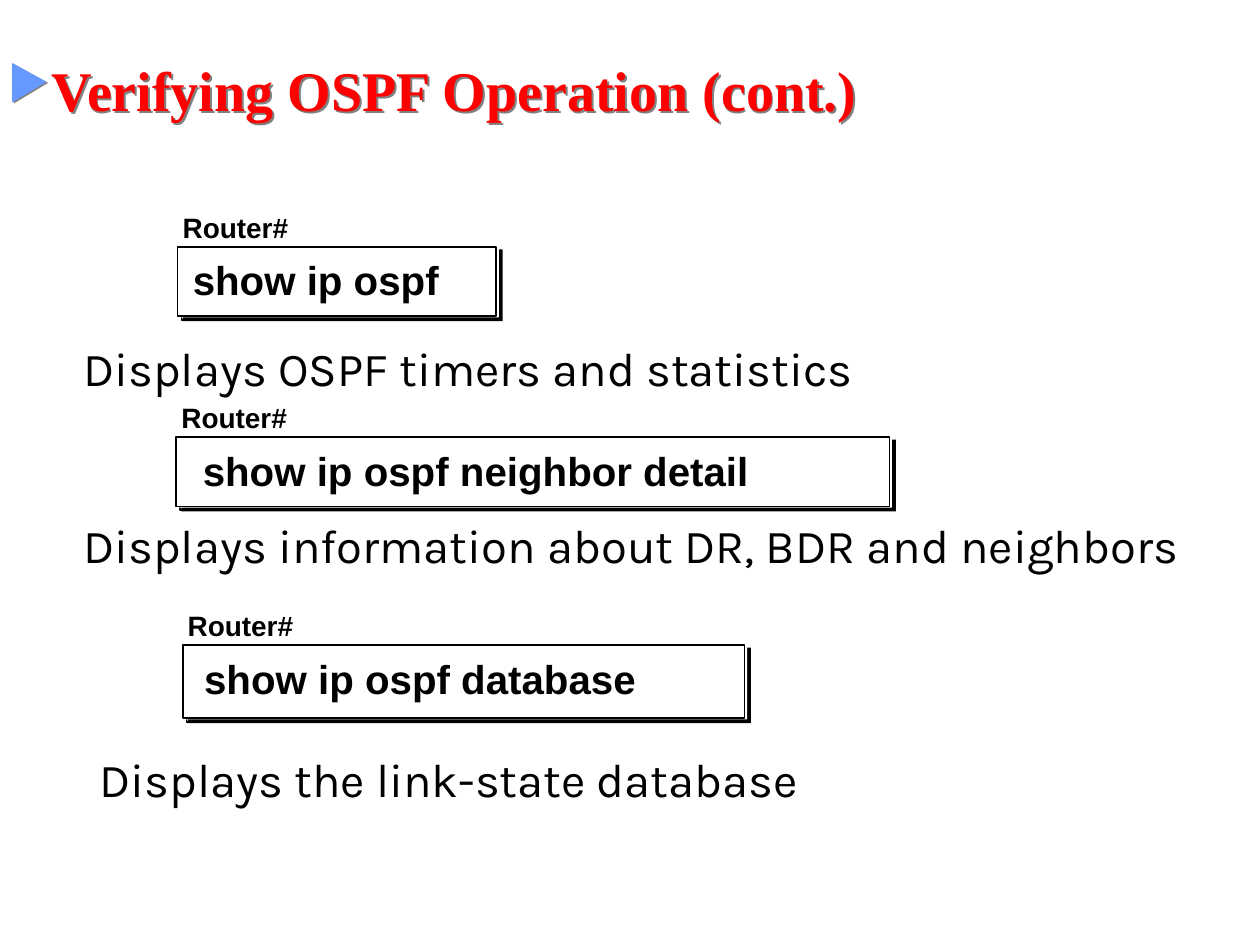
from dataclasses import dataclass

from lxml.etree import SubElement
from pptx import Presentation
from pptx.dml.color import RGBColor
from pptx.enum.shapes import MSO_SHAPE
from pptx.enum.text import MSO_ANCHOR, PP_ALIGN
from pptx.oxml.ns import qn
from pptx.util import Inches, Pt


@dataclass(frozen=True)
class Theme:
    black: RGBColor = RGBColor(0, 0, 0)
    white: RGBColor = RGBColor(255, 255, 255)
    red: RGBColor = RGBColor(255, 0, 0)
    bullet: str = "6699FF"
    shade: str = "808080"
    serif: str = "Times New Roman"
    sans: str = "Arial"
    body: str = "Karla"
    title_size: int = 32
    body_size: int = 27
    code_size: int = 23
    label_size: int = 16


THEME = Theme()

# command, left, top, width, height, command inset, command width, label width
COMMANDS = [
    ("show ip ospf neighbor detail", 1.41, 3.46, 5.67, 0.57, 0.17, 4.79, 1.49),
    ("show ip ospf database", 1.46, 5.11, 4.47, 0.6, 0.13, 3.79, 1.18),
    ("show ip ospf", 1.42, 1.95, 2.54, 0.57, 0.08, 2.39, 1.18),
]

# text, left indent in inches, space before in points
NOTES = [
    ("Displays OSPF timers and statistics", 0.19, 0),
    ("Displays information about DR, BDR and neighbors", 0.19, 69),
    ("Displays the link-state database", 0.32, 101),
]


def style(para, name, size, color, bold=False):
    font = para.font
    font.name, font.size, font.bold = name, Pt(size), bold
    font.color.rgb = color


def inset(frame, side):
    frame.margin_left = frame.margin_right = Inches(side)
    frame.margin_top = frame.margin_bottom = Inches(0.04)


def add_shade(shape):
    """Drop a shadow from an unfilled shape, so that its text casts it."""
    shape.fill.background()
    effects = SubElement(shape._element.spPr, qn("a:effectLst"))
    outer = SubElement(effects, qn("a:outerShdw"),
                       dist=str(Pt(1.5)), dir="2700000")
    SubElement(outer, qn("a:srgbClr"), val=THEME.shade)


def add_title(slide, text):
    title = slide.shapes.title
    title.left, title.top = Inches(0), Inches(0.33)
    title.width, title.height = Inches(10), Inches(0.75)
    add_shade(title)
    frame = title.text_frame
    inset(frame, 0.06)
    frame.vertical_anchor = MSO_ANCHOR.MIDDLE
    para = frame.paragraphs[0]
    para.text = text
    para.alignment = PP_ALIGN.LEFT
    props = para._p.get_or_add_pPr()
    props.set("marL", "0")
    props.set("indent", "0")
    color = SubElement(props, qn("a:buClr"))
    SubElement(color, qn("a:srgbClr"), val=THEME.bullet)
    SubElement(props, qn("a:buSzPct"), val="85000")
    SubElement(props, qn("a:buChar"), char="▶")
    style(para, THEME.serif, THEME.title_size, THEME.red, True)


def add_notes(slide):
    box = slide.shapes.add_textbox(
        Inches(0.38), Inches(2.26), Inches(9.62), Inches(4.57))
    frame = box.text_frame
    frame.word_wrap = True
    frame.vertical_anchor = MSO_ANCHOR.MIDDLE
    inset(frame, 0.09)
    for i, (text, indent, gap) in enumerate(NOTES):
        para = frame.add_paragraph() if i else frame.paragraphs[0]
        para.text = text
        para._p.get_or_add_pPr().set("marL", str(Inches(indent)))
        para.space_before = Pt(gap)
        style(para, THEME.body, THEME.body_size, THEME.black)


def add_rect(shapes, left, top, width, height, fill=None):
    """Add a plain filled block, or a thin black frame if there is no fill."""
    rect = shapes.add_shape(MSO_SHAPE.RECTANGLE, Inches(left), Inches(top),
                            Inches(width), Inches(height))
    rect.shadow.inherit = False
    if fill is None:
        rect.fill.background()
        rect.line.color.rgb = THEME.black
        rect.line.width = Pt(1)
    else:
        rect.fill.solid()
        rect.fill.fore_color.rgb = fill
        rect.line.fill.background()


def add_line(shapes, text, left, top, width, height, size, pitch):
    """Add one line of bold text with an exact line pitch in points."""
    box = shapes.add_textbox(
        Inches(left), Inches(top), Inches(width), Inches(height))
    frame = box.text_frame
    frame.word_wrap = False
    inset(frame, 0.03)
    para = frame.paragraphs[0]
    para.text = text
    para.line_spacing = Pt(pitch)
    style(para, THEME.sans, size, THEME.black, True)


def add_command(slide, text, left, top, width, height, indent, span, label):
    shapes = slide.shapes.add_group_shape().shapes
    for shift, fill in ((0.03, THEME.black), (0, THEME.white)):
        x, y = left + shift, top + shift
        add_rect(shapes, x, y, width, height, fill)
        add_rect(shapes, x - 0.01, y + 0.01, width - 0.01, height - 0.02)
    add_line(shapes, "Router#", left, top - 0.27, label, height - 0.07,
             THEME.label_size, 15.7)
    add_line(shapes, text, left + indent, top + 0.11, span, height + 0.02,
             THEME.code_size, 22.5)


def main():
    deck = Presentation()
    deck.slide_width, deck.slide_height = Inches(10), Inches(7.5)
    slide = deck.slides.add_slide(deck.slide_layouts[5])
    add_title(slide, "Verifying OSPF Operation (cont.)")
    add_notes(slide)
    for command in COMMANDS:
        add_command(slide, *command)
    deck.save("out.pptx")


if __name__ == "__main__":
    main()
